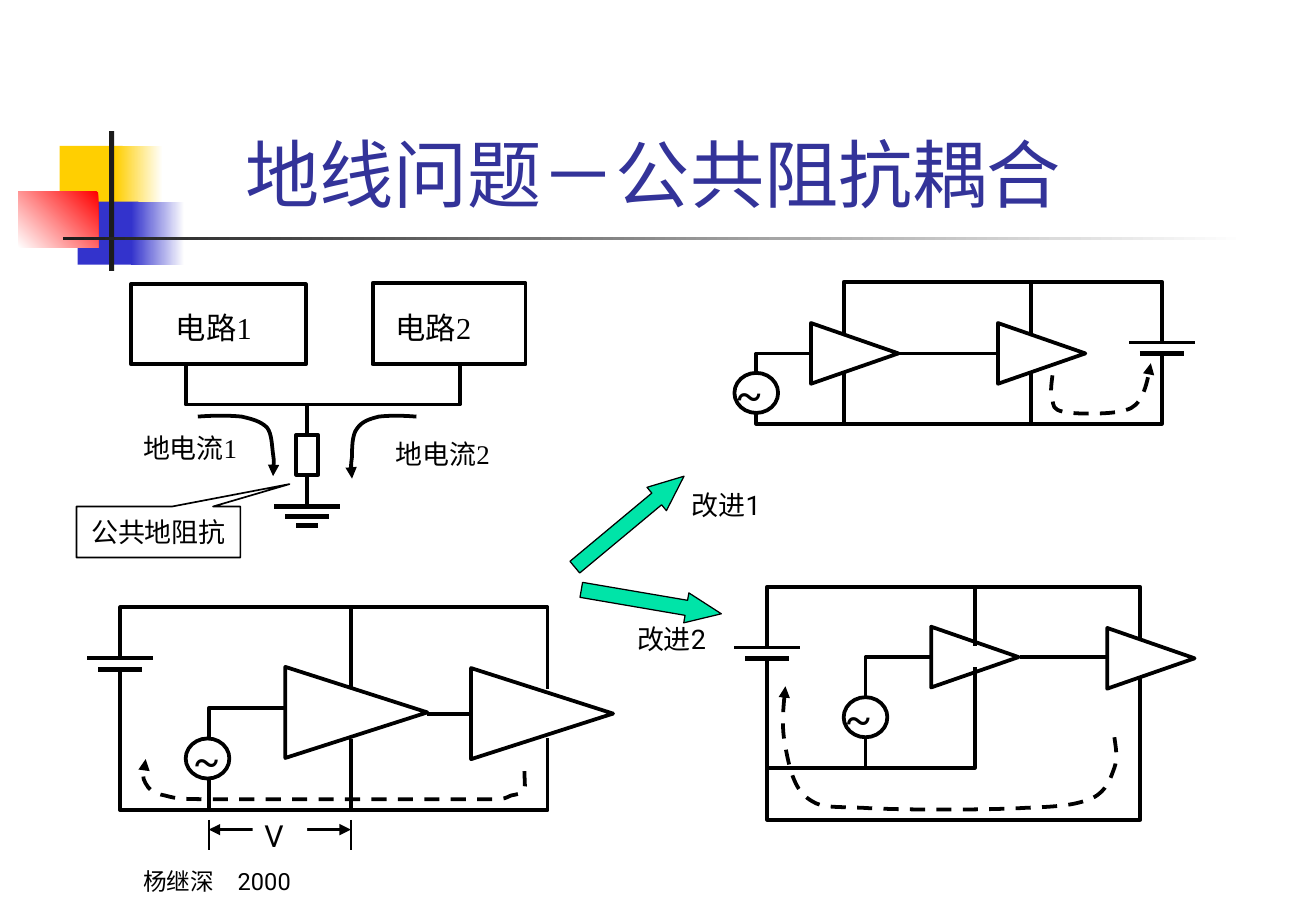
"""Build the slide on ground wiring and common impedance coupling."""
from lxml import etree
from pptx import Presentation
from pptx import util as u
from pptx.dml.color import RGBColor
from pptx.enum import dml, shapes, text
from pptx.oxml.ns import qn

COLORS = {
    "ink": "000000", "paper": "FFFFFF", "title": "333399", "yellow": "FFCF01",
    "blue": "3333CC", "red": "FF0000", "bar": "1C1C1C", "green": "00E4A8",
}
SERIF, SANS = "Times New Roman", "Roboto"
SHAPE = shapes.MSO_SHAPE
MIDDLE, BOTTOM = text.MSO_ANCHOR.MIDDLE, text.MSO_ANCHOR.BOTTOM


def inch(v):
    return u.Cm(v * 2.54)


def rgb(name):
    return RGBColor.from_string(COLORS[name])


class Sketch:
    """Draws circuit elements in one style on the current slide."""

    def __init__(self, s):
        self.s = s

    def stroke(self, sp, width=2.25, dashed=False, head=False, tail=False):
        sp.line.color.rgb = rgb("ink")
        sp.line.width = u.Pt(width)
        if dashed:
            sp.line.dash_style = dml.MSO_LINE.DASH
        for tag, wanted in (("a:headEnd", head), ("a:tailEnd", tail)):
            if wanted:
                end = etree.SubElement(sp._element.spPr.find(qn("a:ln")), qn(tag))
                end.set("type", "triangle")

    def shape(self, kind, at, fill=None, width=2.25, rot=0, adj=()):
        sp = self.s.shapes.add_shape(kind, *map(inch, at))
        sp.shadow.inherit = False
        sp.rotation = rot
        for i, value in enumerate(adj):
            sp.adjustments[i] = value
        if fill:
            sp.fill.solid()
            sp.fill.fore_color.rgb = rgb(fill)
        else:
            sp.fill.background()
        if width:
            self.stroke(sp, width)
        else:
            sp.line.fill.background()
        return sp

    def fade(self, at, start, end, angle=180):
        sp = self.shape(SHAPE.RECTANGLE, at, width=0)
        sp.fill.gradient()
        sp.fill.gradient_angle = angle
        for stop, name in zip(sp.fill.gradient_stops, (start, end)):
            stop.color.rgb = rgb(name)

    def add_words(self, sp, words, size, font=SANS, color="ink", anchor=text.MSO_ANCHOR.TOP,
                  align=text.PP_ALIGN.LEFT, wrap=True):
        tf = sp.text_frame
        tf.word_wrap = wrap
        tf.vertical_anchor = anchor
        p = tf.paragraphs[0]
        p.alignment = align
        r = p.add_run()
        r.text = words
        r.font.size = u.Pt(size)
        r.font.name = font
        r.font.color.rgb = rgb(color)

    def label(self, at, words, size, font=SANS, fill=None, **style):
        sp = self.s.shapes.add_textbox(*map(inch, at))
        if fill:
            sp.fill.solid()
            sp.fill.fore_color.rgb = rgb(fill)
        self.add_words(sp, words, size, font, **style)

    def line(self, x1, y1, x2, y2, width=2.25, **ends):
        sp = self.s.shapes.add_connector(
            shapes.MSO_CONNECTOR.STRAIGHT, *map(inch, (x1, y1, x2, y2)))
        self.stroke(sp, width, **ends)
        etree.SubElement(sp._element.spPr, qn("a:effectLst"))

    def wire(self, *points, **ends):
        (x, y), *rest = [(inch(a), inch(b)) for a, b in points]
        fb = self.s.shapes.build_freeform(x, y)
        fb.add_line_segments(rest, close=False)
        sp = fb.convert_to_shape()
        sp.shadow.inherit = False
        sp.fill.background()
        self.stroke(sp, **ends)
        return sp

    def curve(self, *points, dashed=False):
        sp = self.wire(*points, dashed=dashed, tail=True)
        steps = list(sp._element.iter(qn("a:lnTo")))
        for i in range(0, len(steps), 3):
            bend, *others = steps[i:i + 3]
            bend.tag = qn("a:cubicBezTo")
            for step in others:
                bend.append(step[0])
                step.getparent().remove(step)

    def amplifier(self, x, y, w=0.5, h=0.72):
        self.shape(SHAPE.ISOSCELES_TRIANGLE, (x, y, w, h), rot=90)

    def battery(self, cx, y):
        self.line(cx - 0.27, y, cx + 0.27, y)
        self.line(cx - 0.18, y + 0.09, cx + 0.18, y + 0.09, 3)

    def source(self, x, y, dx=-0.09):
        self.shape(SHAPE.OVAL, (x, y, 0.36, 0.33))
        self.label((x + dx, y - 0.08, 0.45, 0.5), "~", 24)


def draw_heading(d):
    d.shape(SHAPE.RECTANGLE, (0.49, 1.2, 0.52, 0.52), "yellow", 0)
    d.fade((0.95, 1.2, 0.39, 0.52), "paper", "yellow")
    d.shape(SHAPE.RECTANGLE, (0.64, 1.66, 0.5, 0.52), "blue", 0)
    d.fade((1.08, 1.66, 0.44, 0.52), "paper", "blue")
    d.fade((0.15, 1.58, 0.66, 0.46), "red", "paper", 225)
    d.shape(SHAPE.RECTANGLE, (0.9, 1.08, 0.04, 1.15), "bar", 0)
    d.fade((0.52, 1.95, 9.75, 0.03), "paper", "bar")
    d.label((1.92, 1, 8.12, 0.84), "地线问题－公共阻抗耦合", 44, color="title", anchor=BOTTOM)


def draw_common_impedance(d):
    d.shape(SHAPE.RECTANGLE, (1.08, 2.34, 1.44, 0.66))
    d.shape(SHAPE.RECTANGLE, (3.07, 2.33, 1.26, 0.67))
    d.label((1.35, 2.5, 1.08, 0.4), "电路1", 18, SERIF)
    d.label((3.16, 2.5, 0.9, 0.4), "电路2", 18, SERIF)
    d.wire((1.53, 3), (1.53, 3.33), (3.79, 3.33), (3.79, 3))
    for top in (3.33, 3.92):
        d.line(2.53, top, 2.53, top + 0.25)
    for i in range(3):
        half, y = 0.27 - 0.09 * i, 4.17 + 0.08 * i
        d.line(2.53 - half, y, 2.53 + half, y, 3)
    d.curve((1.63, 3.43), (1.76, 3.42), (1.89, 3.42), (1.99, 3.43), (2.08, 3.45),
            (2.15, 3.47), (2.2, 3.52), (2.24, 3.57), (2.24, 3.67), (2.25, 3.74),
            (2.26, 3.81), (2.25, 3.86), (2.25, 3.92))
    d.curve((3.43, 3.43), (3.32, 3.42), (3.2, 3.42), (3.12, 3.43), (3.04, 3.45),
            (2.98, 3.47), (2.94, 3.53), (2.9, 3.58), (2.9, 3.69), (2.9, 3.76),
            (2.89, 3.83), (2.89, 3.89), (2.9, 3.94))
    d.label((1.08, 3.5, 1.17, 0.37), "地电流1", 16, SERIF)
    d.label((3.16, 3.55, 1.08, 0.37), "地电流2", 16, SERIF)
    note = d.shape(SHAPE.RECTANGULAR_CALLOUT, (0.63, 4.17, 1.35, 0.42), width=1,
                   adj=(0.8, -0.94))
    d.add_words(note, "公共地阻抗", 16, SERIF, anchor=MIDDLE,
                align=text.PP_ALIGN.CENTER, wrap=False)
    d.shape(SHAPE.RECTANGLE, (2.44, 3.58, 0.18, 0.33))


def draw_shared_ground(d):
    d.amplifier(2.56, 5.28, 0.75, 1.17)
    d.amplifier(4.09, 5.29, 0.75, 1.17)
    d.line(3.52, 5.88, 3.88, 5.88)
    d.battery(0.99, 5.42)
    d.line(2.89, 5, 2.89, 5.67)
    d.wire((2.35, 5.83), (1.72, 5.83), (1.72, 6.08))
    d.source(1.53, 6.08, -0.04)
    d.line(1.72, 6.42, 1.72, 6.67)
    d.curve((4.32, 6.35), (4.32, 6.41), (4.33, 6.47), (4.32, 6.5), (4.3, 6.54),
            (4.25, 6.54), (4.21, 6.55), (4.16, 6.57), (4.17, 6.58), (4.05, 6.58),
            (3.92, 6.58), (3.82, 6.58), (3.46, 6.58), (3.09, 6.58), (2.19, 6.58),
            (1.84, 6.58), (1.5, 6.58), (1.47, 6.58), (1.36, 6.55), (1.25, 6.53),
            (1.23, 6.5), (1.2, 6.45), (1.17, 6.4), (1.19, 6.33), (1.2, 6.25), dashed=True)
    d.line(2.89, 6.08, 2.89, 6.67)
    d.line(1.72, 6.83, 2.89, 6.83, head=True, tail=True)
    d.label((2.08, 6.68, 0.45, 0.4), "V", 18, fill="paper")
    d.wire((0.99, 5.42), (0.99, 5), (4.51, 5), (4.51, 5.67))
    d.wire((0.99, 5.5), (0.99, 6.67), (4.51, 6.67), (4.51, 6.08))
    for x in (1.72, 2.89):
        d.line(x, 6.75, x, 7, 1.5)


def draw_first_remedy(d):
    d.amplifier(8.33, 2.55)
    d.amplifier(6.79, 2.55)
    d.wire((6.95, 2.74), (6.95, 2.32), (9.57, 2.32), (9.57, 2.82))
    d.battery(9.57, 2.82)
    d.wire((6.95, 3.07), (6.95, 3.49), (9.57, 3.49), (9.57, 2.91))
    for top in (2.32, 3.07):
        d.line(8.49, top, 8.49, top + 0.42)
    d.line(7.4, 2.91, 8.22, 2.91)
    d.source(6.05, 3.07)
    d.wire((6.23, 3.41), (6.23, 3.49), (6.95, 3.49))
    d.wire((6.23, 3.07), (6.23, 2.91), (6.68, 2.91))
    d.curve((8.67, 3.09), (8.66, 3.17), (8.65, 3.24), (8.67, 3.29), (8.68, 3.34),
            (8.67, 3.37), (8.76, 3.39), (8.85, 3.41), (9.1, 3.41), (9.21, 3.39),
            (9.31, 3.37), (9.34, 3.36), (9.39, 3.29), (9.43, 3.22), (9.46, 3.11),
            (9.48, 2.99), dashed=True)


def draw_second_remedy(d):
    d.amplifier(7.78, 5.05)
    d.amplifier(9.23, 5.06)
    d.battery(6.32, 5.33)
    d.line(8.4, 5.41, 9.12, 5.41)
    d.source(6.95, 5.74)
    d.wire((7.67, 5.41), (7.13, 5.41), (7.13, 5.74))
    d.wire((7.13, 6.07), (7.13, 6.32), (8.03, 6.32), (8.03, 5.49))
    d.line(8.03, 4.82, 8.03, 5.32)
    d.line(7.13, 6.32, 6.32, 6.32)
    d.curve((9.18, 6.07), (9.19, 6.15), (9.21, 6.24), (9.18, 6.32), (9.15, 6.4),
            (9.12, 6.51), (9, 6.57), (8.88, 6.62), (8.77, 6.64), (8.46, 6.65),
            (8.14, 6.67), (7.4, 6.67), (7.1, 6.65), (6.8, 6.64), (6.76, 6.65),
            (6.65, 6.57), (6.54, 6.49), (6.5, 6.31), (6.47, 6.15), (6.44, 6),
            (6.45, 5.83), (6.47, 5.65), dashed=True)
    d.wire((6.32, 5.42), (6.32, 6.75), (9.39, 6.75), (9.39, 5.58))
    d.wire((6.32, 5.33), (6.32, 4.83), (9.39, 4.83), (9.39, 5.25))


def main():
    prs = Presentation()
    prs.slide_width, prs.slide_height = inch(10.84), inch(7.5)
    d = Sketch(prs.slides.add_slide(prs.slide_layouts[6]))
    for draw in (draw_heading, draw_common_impedance, draw_shared_ground,
                 draw_first_remedy, draw_second_remedy):
        draw(d)
    for x, y, rot in ((4.6, 4.17, 320.2), (4.78, 4.83, 9.7)):
        d.shape(SHAPE.RIGHT_ARROW, (x, y, 1.17, 0.25), "green", 0.75, rot, (0.5, 1.17))
    d.label((5.6, 3.97, 0.9, 0.37), "改进1", 16)
    d.label((5.15, 5.08, 0.9, 0.37), "改进2", 16)
    d.label((1.08, 6.92, 2.26, 0.5), "杨继深　2000", 14, anchor=BOTTOM)
    prs.save("out.pptx")


if __name__ == "__main__":
    main()
